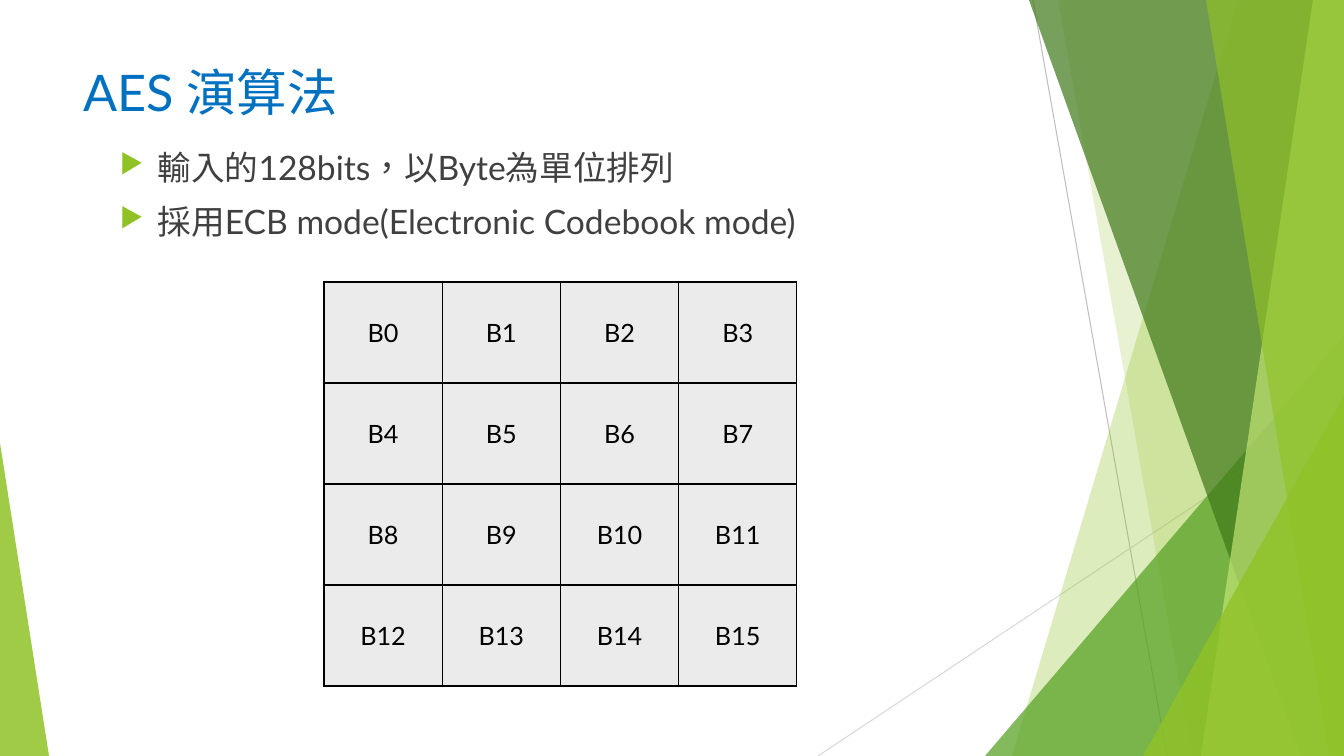
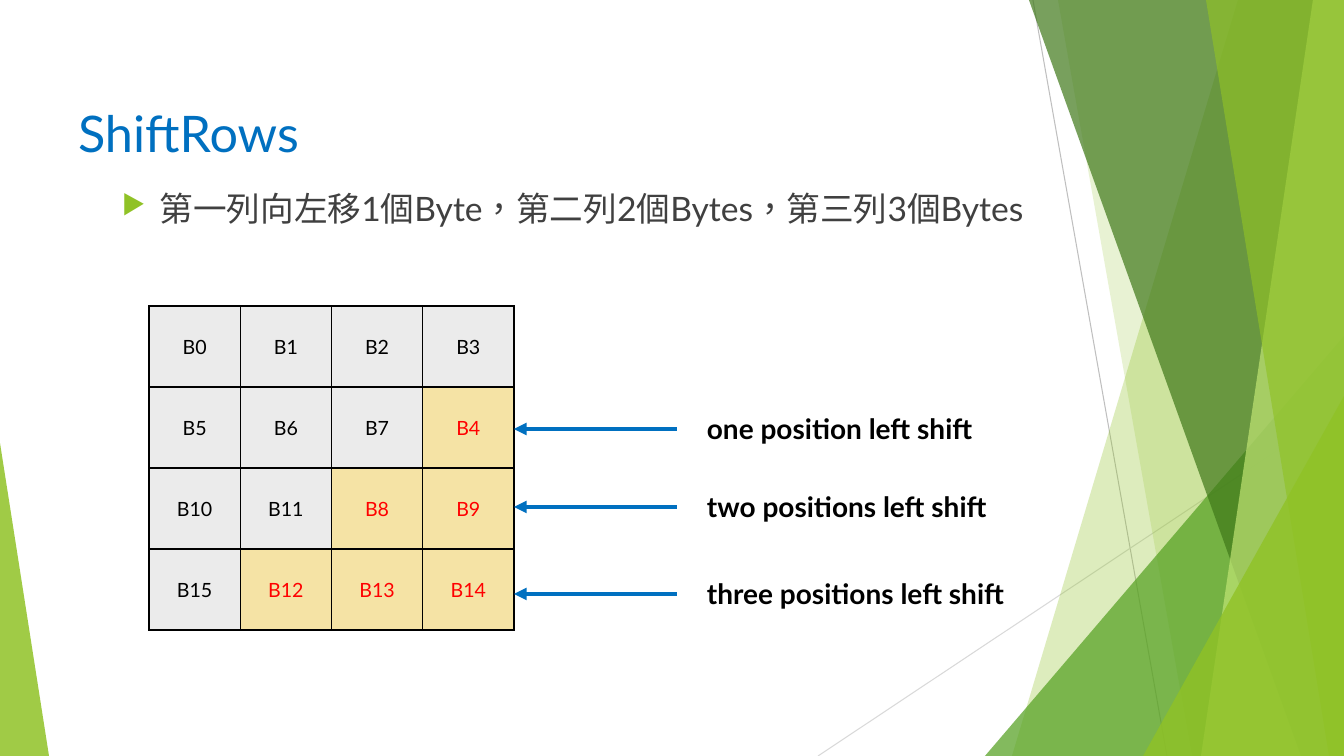
from lxml.etree import SubElement
from pptx import Presentation
from pptx.dml.color import RGBColor
from pptx.enum.shapes import MSO_CONNECTOR, MSO_SHAPE, PP_PLACEHOLDER
from pptx.enum.text import MSO_ANCHOR, MSO_AUTO_SIZE, PP_ALIGN
from pptx.oxml.ns import qn
from pptx.util import Emu, Pt

SLIDE_WIDTH, SLIDE_HEIGHT = 1344, 756
EMU_PER_PX = 12192000 / SLIDE_WIDTH
FONT = "Lato"
BLUE, LIME, GREEN, FOREST, PALE = "0070C0", "90C226", "54A021", "3F7819", "C0E474"
BLACK, RED, BODY_GREY = "000000", "FF0000", "404040"
CELL_GREY, CELL_YELLOW = "EBEBEB", "F5E3A5"

TITLE_STYLE = {"size": Pt(36), "bold": False}
BODY_STYLE = {"size": Pt(24), "bold": False}
LABEL_STYLE = {"size": Pt(20), "bold": True}


def px(*lengths):
    return [Emu(round(length * EMU_PER_PX)) for length in lengths]


def rgb(color):
    return RGBColor.from_string(color)


def write(para, text, style, color):
    span = para.add_run()
    span.text = text
    span.font.name = FONT
    span.font.color.rgb = rgb(color)
    for name, value in style.items():
        setattr(span.font, name, value)
    if not text.isascii():
        span.font._element.set("lang", "zh-TW")


def add_line(shapes, start, end, color, width):
    line = shapes.add_connector(MSO_CONNECTOR.STRAIGHT, *px(*start, *end))
    line.line.color.rgb = rgb(color)
    line.line.width = Pt(width)
    SubElement(line._element.spPr, qn("a:effectLst"))
    return line


def paint_facet(shape, color, opacity):
    """Fill a borderless shape with a see-through colour; opacity in percent."""
    shape.shadow.inherit = False
    shape.line.fill.background()
    shape.fill.solid()
    shape.fill.fore_color.rgb = rgb(color)
    paint = shape._element.spPr.find(qn("a:solidFill"))[0]
    SubElement(paint, qn("a:alpha"), val=str(opacity * 1000))


def add_band(shapes, top_x, bottom_x, color, opacity):
    """Draw a full-height facet from a slanted left edge to the right edge."""
    outline = shapes.build_freeform(top_x, 0, EMU_PER_PX)
    outline.add_line_segments([(SLIDE_WIDTH, 0), (SLIDE_WIDTH, SLIDE_HEIGHT),
                               (bottom_x, SLIDE_HEIGHT)])
    paint_facet(outline.convert_to_shape(), color, opacity)


def add_corner(shapes, left, top, width, apex, color, opacity):
    """Draw a triangle standing on the bottom edge; apex 0 is left, 1 right."""
    corner = shapes.add_shape(MSO_SHAPE.ISOSCELES_TRIANGLE,
                              *px(left, top, width, SLIDE_HEIGHT - top))
    corner.adjustments[0] = apex
    paint_facet(corner, color, opacity)


def decorate_layout(layout, page):
    """Draw the facets on a page, then move them to its layout."""
    for holder in list(layout.placeholders):
        if holder.placeholder_format.type != PP_PLACEHOLDER.TITLE:
            holder.element.getparent().remove(holder.element)
    group = page.shapes.add_group_shape()
    shapes = group.shapes
    add_line(shapes, (1033, 0), (1167, SLIDE_HEIGHT), "BFBFBF", 0.75)
    add_line(shapes, (SLIDE_WIDTH, 406), (818, SLIDE_HEIGHT), "D9D9D9", 0.75)
    for draw, *values in (
        (add_band, 1238, 1012, LIME, 30),
        (add_band, 1058, 1192, LIME, 20),
        (add_corner, 985, 336, 359, 1, GREEN, 72),
        (add_band, 1029, 1301, FOREST, 70),
        (add_band, 1313, 1201, PALE, 70),
        (add_band, 1206, 1329, LIME, 65),
        (add_corner, 1143, 396, 201, 1, LIME, 80),
        (add_corner, 0, 443, 49, 0, LIME, 85),
    ):
        draw(shapes, *values)
    layout.shapes.element.insert(2, group.element)


def place_title(page, box, text):
    title = page.shapes.title
    title.left, title.top, title.width, title.height = px(*box)
    frame = title.text_frame
    frame.auto_size = MSO_AUTO_SIZE.NONE
    frame.word_wrap = True
    frame.vertical_anchor = MSO_ANCHOR.TOP
    para = frame.paragraphs[0]
    para.alignment = PP_ALIGN.LEFT
    write(para, text, TITLE_STYLE, BLUE)


def add_bullets(page, box, lines):
    frame = page.shapes.add_textbox(*px(*box)).text_frame
    frame.word_wrap = True
    for index, text in enumerate(lines):
        para = frame.add_paragraph() if index else frame.paragraphs[0]
        para.space_before = Pt(10)
        write(para, text, BODY_STYLE, BODY_GREY)
        settings = para._p.get_or_add_pPr()
        settings.set("marL", "342900")
        settings.set("indent", "-342900")
        SubElement(SubElement(settings, qn("a:buClr")), qn("a:srgbClr"), val=LIME)
        SubElement(settings, qn("a:buSzPct"), val="80000")
        SubElement(settings, qn("a:buChar"), char="▶")


def format_cell(cell, text, size, fill, color):
    settings = cell._tc.get_or_add_tcPr()
    for side in ("lnL", "lnR", "lnT", "lnB"):
        border = SubElement(settings, qn(f"a:{side}"), w=str(Pt(1)))
        SubElement(SubElement(border, qn("a:solidFill")), qn("a:srgbClr"), val=BLACK)
    cell.fill.solid()
    cell.fill.fore_color.rgb = rgb(fill)
    cell.vertical_anchor = MSO_ANCHOR.MIDDLE
    para = cell.text_frame.paragraphs[0]
    para.alignment = PP_ALIGN.CENTER
    write(para, text, {"size": Pt(size), "bold": False}, color)


def add_byte_table(page, box, size, shifted=False):
    """Add the 4 by 4 state; if shifted, row n is rotated n places to the left."""
    table = page.shapes.add_table(4, 4, *px(*box)).table
    table.first_row = table.horz_banding = False
    for row in range(4):
        shift = row if shifted else 0
        for column in range(4):
            place = column + shift
            fill, color = (CELL_YELLOW, RED) if place >= 4 else (CELL_GREY, BLACK)
            format_cell(table.cell(row, column), f"B{4 * row + place % 4}",
                        size, fill, color)


def add_shift_note(page, box, text):
    """Add an arrow pointing left along the box's middle, with a label after it."""
    left, top, width, height = box
    middle = top + height // 2
    arrow = add_line(page.shapes, (left + 163, middle), (left, middle), BLUE, 3)
    SubElement(arrow.line._get_or_add_ln(), qn("a:tailEnd"), type="triangle")
    label = page.shapes.add_textbox(*px(left + 183, top, width - 183, height))
    label.text_frame.word_wrap = False
    write(label.text_frame.paragraphs[0], text, LABEL_STYLE, BLACK)


def build_input_slide(page):
    place_title(page, (73, 56, 948, 145), "AES 演算法")
    add_bullets(page, (110, 142, 948, 427),
                ["輸入的128bits，以Byte為單位排列",
                 "採用ECB mode(Electronic Codebook mode)"])
    add_byte_table(page, (324, 282, 473, 404), 18)


def build_shift_slide(page):
    place_title(page, (68, 97, 948, 145), "ShiftRows")
    add_bullets(page, (112, 183, 967, 427),
                ["第一列向左移1個Byte，第二列2個Bytes，第三列3個Bytes"])
    add_byte_table(page, (149, 306, 365, 324), 14, shifted=True)
    for top, text in ((407, "one position left shift"),
                      (485, "two positions left shift"),
                      (572, "three positions left shift")):
        add_shift_note(page, (514, top, 524, 44), text)


def main():
    deck = Presentation()
    deck.slide_width, deck.slide_height = px(SLIDE_WIDTH, SLIDE_HEIGHT)
    layout = deck.slide_layouts.get_by_name("Title Only")
    pages = [deck.slides.add_slide(layout) for _ in range(2)]
    decorate_layout(layout, pages[0])
    build_input_slide(pages[0])
    build_shift_slide(pages[1])
    deck.save("out.pptx")


if __name__ == "__main__":
    main()
